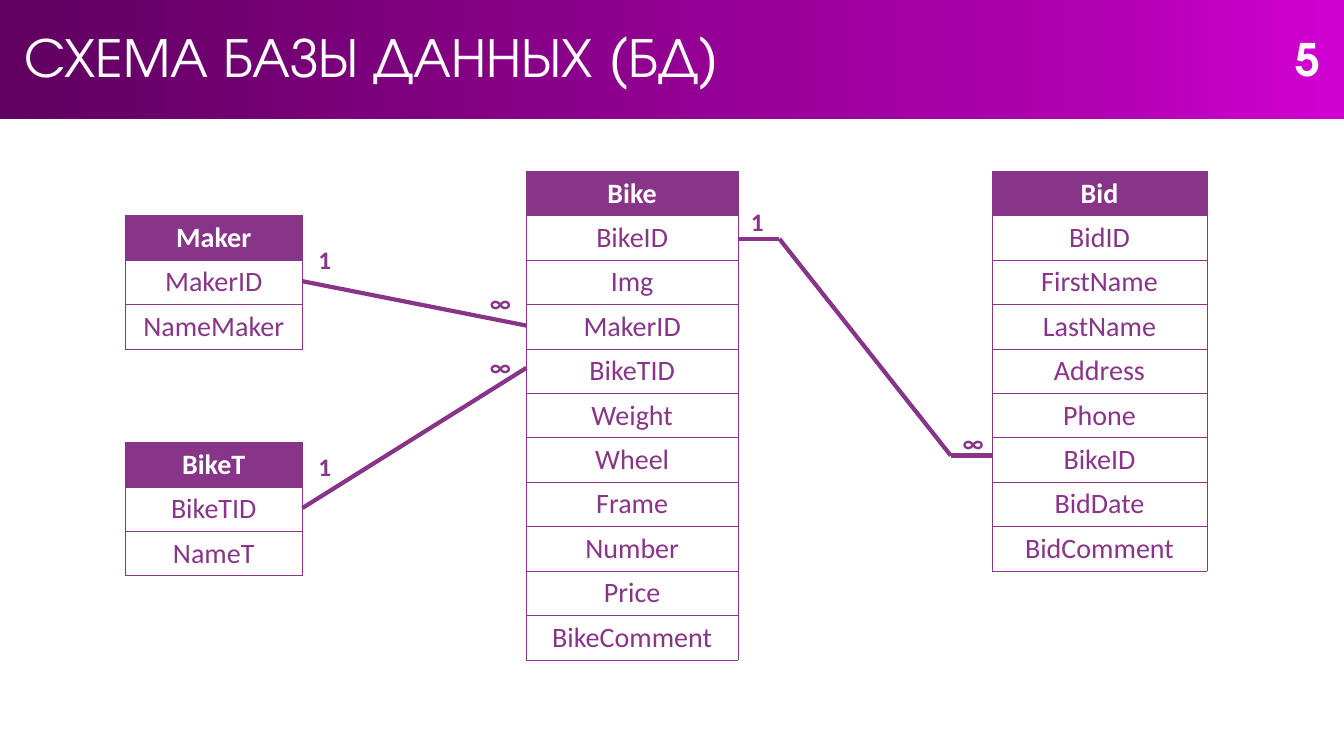
from copy import deepcopy
from dataclasses import dataclass
from itertools import pairwise

from lxml import etree
from pptx import Presentation
from pptx import util as u
from pptx.dml.color import RGBColor
from pptx.enum import shapes, text
from pptx.oxml.ns import qn

# Content: name, left, top, width, fields
TITLE = "СХЕМА БАЗЫ ДАННЫХ (БД)"
PAGE_NUMBER = "5"
TABLES = [
    ("Maker", 1.24, 2.14, 1.76, ["MakerID", "NameMaker"]),
    ("BikeT", 1.24, 4.39, 1.76, ["BikeTID", "NameT"]),
    ("Bike", 5.22, 1.7, 2.1, ["BikeID", "Img", "MakerID", "BikeTID", "Weight", "Wheel",
                              "Frame", "Number", "Price", "BikeComment"]),
    ("Bid", 9.84, 1.7, 2.13, ["BidID", "FirstName", "LastName", "Address", "Phone",
                              "BikeID", "BidDate", "BidComment"]),
]
# Each relation is a chain of points
RELATIONS = [
    [(3, 2.79), (5.22, 3.23)],
    [(3, 5.04), (5.22, 3.65)],
    [(7.32, 2.37), (7.73, 2.37), (9.43, 4.52), (9.84, 4.52)],
]
# Cardinality marks: text, left, top
MARKS = [("1", 3.06, 2.37), ("1", 3.06, 4.43), ("∞", 4.76, 2.8),
         ("∞", 4.76, 3.44), ("1", 7.35, 2), ("∞", 9.45, 4.19)]
MARK_WIDTHS = {"1": 0.33, "∞": 0.41}
ROW_HEIGHT = 0.44


@dataclass(frozen=True)
class Theme:
    purple: str = "883488"
    white: str = "FFFFFF"
    band: tuple = ((0, "600060"), (0.81, "B000B0"), (0.99, "D000D0"))
    heading_font: str = "TeX Gyre Adventor"
    body_font: str = "Calibri"
    title_size: int = 40
    number_size: int = 32
    cell_size: int = 20
    mark_size: int = 18
    border: float = 0.5
    relation: float = 3


THEME = Theme()


def style(paragraph, font_name, size, color, bold=False, align=text.PP_ALIGN.CENTER):
    paragraph.alignment = align
    for run in paragraph.runs:
        run.font.name = font_name
        run.font.size = u.Pt(size)
        run.font.bold = bold
        run.font.color.rgb = RGBColor.from_string(color)


def add_title(slide):
    title = slide.shapes.title
    title.left, title.top = u.Inches(0), u.Inches(0)
    title.width, title.height = u.Inches(13.33), u.Inches(1.18)
    title.fill.gradient()
    title.fill.gradient_angle = 0
    stop_list = title.element.spPr.find(".//" + qn("a:gsLst"))
    stop_list.append(deepcopy(stop_list[-1]))
    for stop, (position, color) in zip(title.fill.gradient_stops, THEME.band):
        stop.position = position
        stop.color.rgb = RGBColor.from_string(color)
    frame = title.text_frame
    frame.text = TITLE
    frame.auto_size = text.MSO_AUTO_SIZE.NONE
    frame.vertical_anchor = text.MSO_ANCHOR.MIDDLE
    frame.margin_left = u.Inches(0.24)
    frame.paragraphs[0].line_spacing = 0.9
    style(frame.paragraphs[0], THEME.heading_font, THEME.title_size, THEME.white,
          align=text.PP_ALIGN.LEFT)


def add_borders(cell):
    properties = cell._tc.get_or_add_tcPr()
    for side in ("lnL", "lnR", "lnT", "lnB"):
        line = etree.SubElement(properties, qn(f"a:{side}"), w=str(u.Pt(THEME.border)))
        fill = etree.SubElement(line, qn("a:solidFill"))
        etree.SubElement(fill, qn("a:srgbClr"), val=THEME.purple)


def add_entity(slide, name, left, top, width, fields):
    rows = [name, *fields]
    table = slide.shapes.add_table(
        len(rows), 1, u.Inches(left), u.Inches(top),
        u.Inches(width), u.Inches(ROW_HEIGHT * len(rows))).table
    for index, label in enumerate(rows):
        header = index == 0
        cell = table.cell(index, 0)
        cell.text = label
        add_borders(cell)
        cell.fill.solid()
        cell.fill.fore_color.rgb = RGBColor.from_string(
            THEME.purple if header else THEME.white)
        style(cell.text_frame.paragraphs[0], THEME.body_font, THEME.cell_size,
              THEME.white if header else THEME.purple, bold=header)


def add_line(slide, start, end):
    line = slide.shapes.add_connector(
        shapes.MSO_CONNECTOR.STRAIGHT, *map(u.Inches, (*start, *end)))
    line.line.color.rgb = RGBColor.from_string(THEME.purple)
    line.line.width = u.Pt(THEME.relation)
    etree.SubElement(line.element.spPr, qn("a:effectLst"))


def add_label(slide, label, box, wrap, *look, **options):
    frame = slide.shapes.add_textbox(*map(u.Inches, box)).text_frame
    frame.text = label
    frame.word_wrap = wrap
    frame.auto_size = text.MSO_AUTO_SIZE.SHAPE_TO_FIT_TEXT
    style(frame.paragraphs[0], *look, bold=True, **options)


def main():
    presentation = Presentation()
    presentation.slide_width, presentation.slide_height = u.Inches(13.33), u.Inches(7.5)
    slide = presentation.slides.add_slide(presentation.slide_layouts.get_by_name("Title Only"))

    # Title band
    add_title(slide)

    # Database tables
    for entity in TABLES:
        add_entity(slide, *entity)

    # Relations and their cardinality
    for points in RELATIONS:
        for start, end in pairwise(points):
            add_line(slide, start, end)
    for mark, left, top in MARKS:
        add_label(slide, mark, (left, top, MARK_WIDTHS[mark], 0.4), False, THEME.body_font,
                  THEME.mark_size, THEME.purple, align=text.PP_ALIGN.LEFT)

    # Page number
    add_label(slide, PAGE_NUMBER, (12.61, 0.27, 0.73, 0.64), True, THEME.heading_font,
              THEME.number_size, THEME.white)

    presentation.save("out.pptx")


if __name__ == "__main__":
    main()
